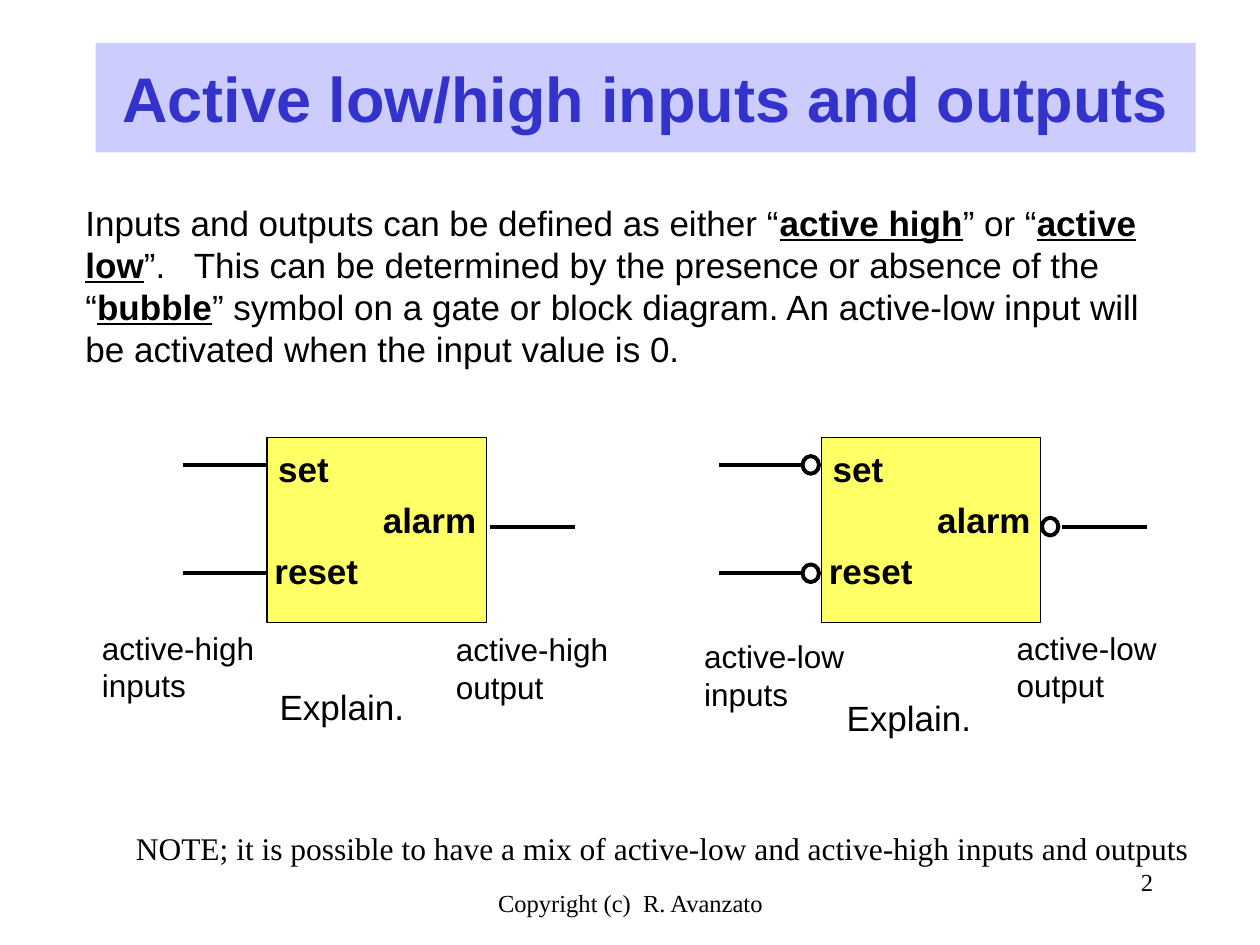
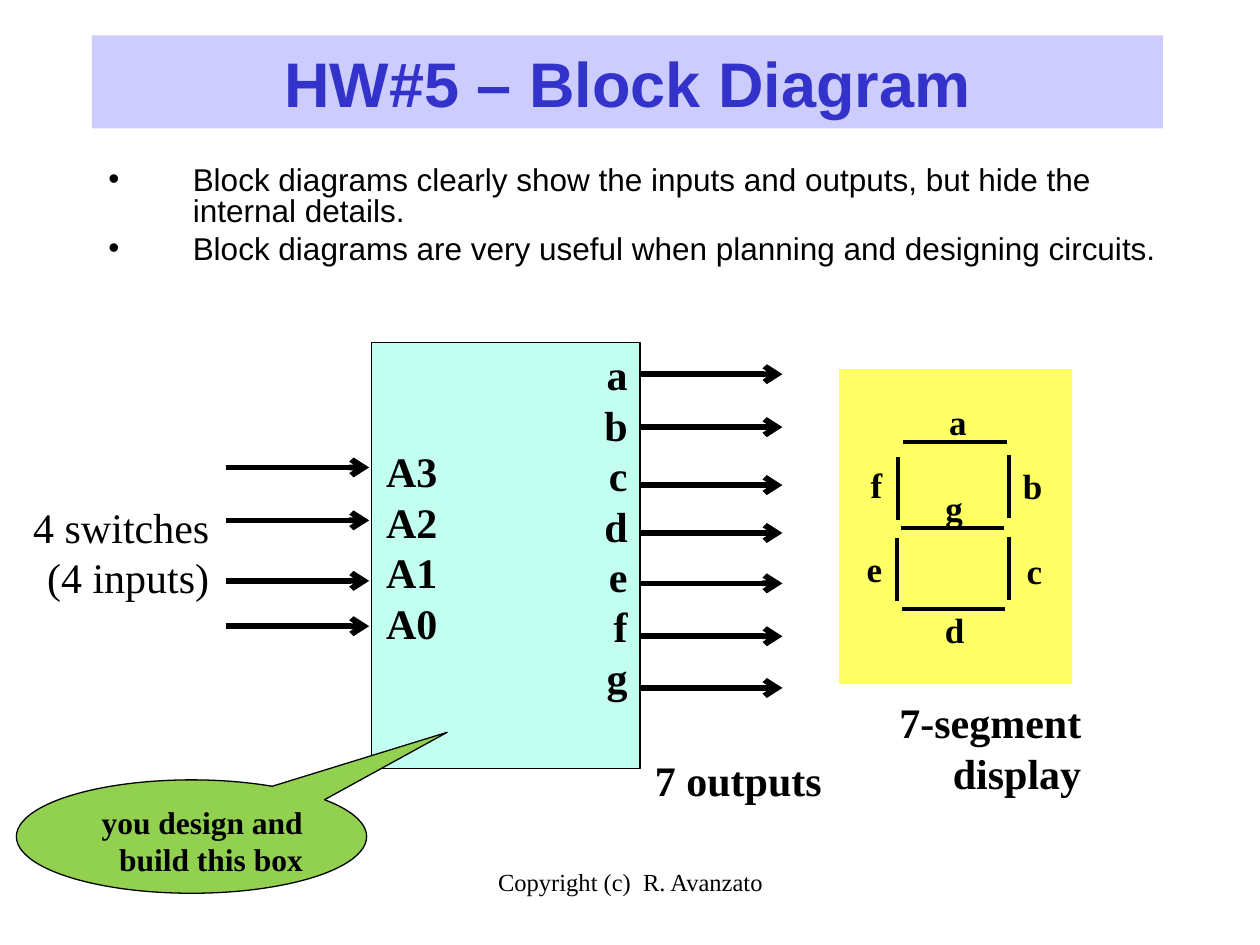
from typing import NamedTuple

from lxml.etree import SubElement
from pptx import Presentation
from pptx.dml.color import RGBColor
from pptx.enum.shapes import MSO_CONNECTOR, MSO_SHAPE
from pptx.enum.text import MSO_ANCHOR, MSO_AUTO_SIZE, PP_ALIGN
from pptx.oxml.ns import qn
from pptx.util import Inches, Pt

# Shared look
SANS, SERIF = "Arial", "Times New Roman"
BLACK, TITLE_BLUE, TITLE_BAND = "000000", "3333CC", "CCCCFF"
YELLOW, MINT, GREEN = "FFFF66", "C2FFF0", "92D050"
LEFT, CENTER, RIGHT = PP_ALIGN.LEFT, PP_ALIGN.CENTER, PP_ALIGN.RIGHT

# The slide is a grid of 100 columns and 75 rows with square cells
SLIDE_WIDTH, SLIDE_HEIGHT = Inches(10), Inches(7.5)
CELL = SLIDE_WIDTH / 100


class Box(NamedTuple):
    """An area of the grid, in columns and rows."""
    left: float
    top: float
    width: float
    height: float

    def inside(self, left, top, width, height):
        return Box(self.left + left, self.top + top, width, height)

    def lengths(self):
        return [cells(value) for value in self]


def cells(count):
    return round(count * CELL)


def color(hex_string):
    return RGBColor.from_string(hex_string)


def format_runs(paragraph, size, font, bold=False, ink=BLACK):
    for run in paragraph.runs:
        run.font.size = Pt(size)
        run.font.name = font
        run.font.bold = bold
        run.font.color.rgb = color(ink)


def write(shape, text, size, font, bold=False, align=LEFT, wrap=False, ink=BLACK):
    """Fill a shape with text, one paragraph for each line."""
    text_frame = shape.text_frame
    text_frame.text = text
    text_frame.word_wrap = wrap
    if not wrap:
        text_frame.auto_size = MSO_AUTO_SIZE.SHAPE_TO_FIT_TEXT
    for paragraph in text_frame.paragraphs:
        paragraph.alignment = align
        format_runs(paragraph, size, font, bold, ink)


def add_text(slide, box, text, size, font, **style):
    shape = slide.shapes.add_textbox(*box.lengths())
    write(shape, text, size, font, **style)
    return shape


def add_figure(slide, preset, box, fill=None, line_width=None):
    shape = slide.shapes.add_shape(preset, *box.lengths())
    shape.shadow.inherit = False
    if fill:
        shape.fill.solid()
        shape.fill.fore_color.rgb = color(fill)
    else:
        shape.fill.background()
    if line_width:
        shape.line.color.rgb = color(BLACK)
        shape.line.width = Pt(line_width)
    else:
        shape.line.fill.background()
    shape.text_frame.vertical_anchor = MSO_ANCHOR.TOP
    return shape


def add_line(slide, box, width=2.25, arrow=False):
    """Draw a line from the box's top left to its bottom right corner."""
    left, top, across, down = box.lengths()
    connector = slide.shapes.add_connector(
        MSO_CONNECTOR.STRAIGHT, left, top, left + across, top + down)
    connector.line.color.rgb = color(BLACK)
    connector.line.width = Pt(width)
    if arrow:
        SubElement(connector.line._get_or_add_ln(), qn("a:tailEnd"), type="arrow")
    SubElement(connector._element.spPr, qn("a:effectLst"))


def place(placeholder, box):
    (placeholder.left, placeholder.top,
     placeholder.width, placeholder.height) = box.lengths()
    placeholder.text_frame.auto_size = MSO_AUTO_SIZE.NONE


def add_title(slide, box, text):
    title = slide.shapes.title
    place(title, box)
    title.fill.solid()
    title.fill.fore_color.rgb = color(TITLE_BAND)
    title.text_frame.vertical_anchor = MSO_ANCHOR.MIDDLE
    write(title, text, 36, SANS, bold=True, align=CENTER, wrap=True, ink=TITLE_BLUE)


def add_footer(slide, top):
    add_text(slide, Box(34.2, top, 31.7, 5), "Copyright (c)  R. Avanzato", 14, SERIF,
             align=CENTER, wrap=True)


def add_bullets(slide, box, items):
    body = slide.placeholders[1]
    place(body, box)
    body.text_frame.text = "\n".join(items)
    for index, paragraph in enumerate(body.text_frame.paragraphs):
        paragraph.line_spacing = 0.8
        paragraph.space_before = Pt(4.5 if index else 0)
        properties = paragraph._p.get_or_add_pPr()
        properties.set("marL", str(cells(6.7)))
        properties.set("indent", str(-cells(6.7)))
        SubElement(properties, qn("a:buChar"), char="•")
        format_runs(paragraph, 18, SANS)


def add_definition(slide, box, text):
    """Write a paragraph whose key terms stand between asterisks."""
    text_frame = slide.shapes.add_textbox(*box.lengths()).text_frame
    text_frame.word_wrap = True
    paragraph = text_frame.paragraphs[0]
    for part in text.split("*"):
        paragraph.add_run().text = part
    format_runs(paragraph, 20, SANS)
    for term in paragraph.runs[1::2]:
        term.font.bold = True
        term.font.underline = True


def add_alarm_block(slide, box, level, inputs_at, output_at, explain_at):
    """Draw an alarm block with its pins; active-low pins carry bubbles."""
    wire_length, bubble = 6.7, 1.4
    gap = bubble if level == "active-low" else 0
    input_rows, output_row = (2.2, 10.8), 7.1

    # Bubbles lie behind the block
    if gap:
        spots = [(-1.5, row) for row in input_rows] + [(box.width + 0.1, output_row)]
        for column, row in spots:
            spot = box.inside(column, row - bubble / 2, 1.3, bubble)
            add_figure(slide, MSO_SHAPE.OVAL, spot, line_width=2.25)

    # Block and pin names
    add_figure(slide, MSO_SHAPE.RECTANGLE, box, YELLOW, 0.75)
    for name, column, row, width in (
            ("set", -0.1, 0.3, 6), ("reset", -0.4, 8.4, 8.7), ("alarm", 8.2, 4.4, 9.4)):
        add_text(slide, box.inside(column, row, width, 4.4), name, 20, SANS, bold=True)

    # Wires
    for row in input_rows:
        add_line(slide, box.inside(-wire_length - gap, row, wire_length, 0))
    add_line(slide, box.inside(box.width + 0.3 + gap, output_row, wire_length, 0))

    # Captions
    caption_width = 13.1 if gap else 14.1
    for pins, spot in (("inputs", inputs_at), ("output", output_at)):
        add_text(slide, box.inside(*spot, caption_width, 7), f"{level}\n{pins}", 18, SANS)
    add_text(slide, box.inside(*explain_at, 11.9, 4.4), "Explain.", 20, SANS)


def add_decoder(slide, box):
    """Draw the decoder block with its input and output arrows."""
    block = add_figure(slide, MSO_SHAPE.RECTANGLE, box, MINT, 0.75)
    write(block, "\n".join("abcdefg"), 24, SERIF, bold=True, align=RIGHT, wrap=True)
    add_text(slide, box.inside(0.1, 7.7, 6.1, 17), "A3\nA2\nA1\nA0", 24, SERIF,
             bold=True, align=RIGHT)

    arrow_length = 11.4
    for row in (9.9, 14.1, 18.9, 22.5):
        add_line(slide, box.inside(-11.6, row, arrow_length, 0), 3.25, arrow=True)
    for row in (2.5, 6.7, 11.3, 15.1, 19.1, 23.3, 27.4):
        add_line(slide, box.inside(box.width - 0.1, row, arrow_length, 0), 3.25, arrow=True)

    add_text(slide, box.inside(-27.9, 12.1, 16, 9), "4 switches\n(4 inputs)", 24, SERIF,
             align=RIGHT)
    add_text(slide, box.inside(21.4, 32.2, 15.3, 5), "7 outputs", 24, SERIF,
             bold=True, align=RIGHT)


def add_segment_display(slide, box):
    """Draw the seven segments, their letters and the caption."""
    add_figure(slide, MSO_SHAPE.RECTANGLE, box, YELLOW)
    across, down = (8.2, 0), (0, 5)
    segments = (  # letter, segment start, direction, letter box start and width
        ("a", (5.1, 5.8), across, (7.7, 2), 3.4),
        ("g", (4.9, 12.6), across, (7.4, 8.8), 3.4),
        ("d", (5, 19), across, (7.4, 18.5), 3.5),
        ("f", (4.7, 7), down, (1.5, 7), 2.9),
        ("b", (13.5, 6.8), down, (13.6, 7.1), 3.5),
        ("e", (4.6, 13.4), down, (1.2, 13.7), 3.2),
        ("c", (13.5, 13.3), down, (13.9, 13.8), 3.2),
    )
    for letter, start, direction, letter_at, width in segments:
        add_line(slide, box.inside(*start, *direction))
        add_text(slide, box.inside(*letter_at, width, 4.4), letter, 20, SERIF,
                 bold=True, align=RIGHT)
    add_text(slide, box.inside(3, 25.5, 17.2, 9), "7-segment \ndisplay", 24, SERIF,
             bold=True, align=RIGHT)


def add_callout(slide, box, text):
    callout = add_figure(slide, MSO_SHAPE.OVAL_CALLOUT, box, GREEN, 0.75)
    callout.adjustments[0] = 0.73
    callout.adjustments[1] = -0.92
    write(callout, text, 18, SERIF, bold=True, align=RIGHT, wrap=True)


def build_active_levels(presentation):
    slide = presentation.slides.add_slide(presentation.slide_layouts[5])
    add_footer(slide, 70)
    add_text(slide, Box(71.7, 68.3, 20.8, 5), "2", 14, SERIF, align=RIGHT, wrap=True)
    add_title(slide, Box(7.6, 3.4, 87.3, 8.7), "Active low/high inputs and outputs")
    add_definition(
        slide, Box(5.8, 15.5, 87.1, 14.4),
        "Inputs and outputs can be defined as either “*active high*” or “*active low*”.   "
        "This can be determined by the presence or absence of the “*bubble*” symbol on a "
        "gate or block diagram. An active-low input will be activated when the input "
        "value is 0.")
    add_alarm_block(slide, Box(21.2, 34.7, 17.4, 14.7), "active-high",
                    inputs_at=(-14.1, 14.7), output_at=(14, 14.8), explain_at=(0, 19.2))
    add_alarm_block(slide, Box(65.2, 34.7, 17.4, 14.7), "active-low",
                    inputs_at=(-10.3, 15.4), output_at=(14.5, 14.7), explain_at=(1, 20.1))
    add_text(slide, Box(9.8, 65.3, 85.6, 4),
             "NOTE; it is possible to have a mix of active-low and active-high inputs "
             "and outputs", 18, SERIF)


def build_block_diagram(presentation):
    slide = presentation.slides.add_slide(presentation.slide_layouts[1])
    add_footer(slide, 68.3)
    add_title(slide, Box(7.3, 2.8, 85, 7.4), "HW#5 – Block Diagram")
    add_bullets(slide, Box(7.6, 12.8, 86.7, 10.2), [
        "Block diagrams clearly show the inputs and outputs, but hide the internal details.",
        "Block diagrams are very useful when planning and designing circuits.",
    ])
    add_segment_display(slide, Box(66.6, 29.3, 18.5, 25))
    add_decoder(slide, Box(29.5, 27.2, 21.3, 33.8))
    add_callout(slide, Box(1.3, 61.9, 27.8, 9), "you design and build this box")


def main():
    presentation = Presentation()
    presentation.slide_width = SLIDE_WIDTH
    presentation.slide_height = SLIDE_HEIGHT
    build_active_levels(presentation)
    build_block_diagram(presentation)
    presentation.save("out.pptx")


if __name__ == "__main__":
    main()
